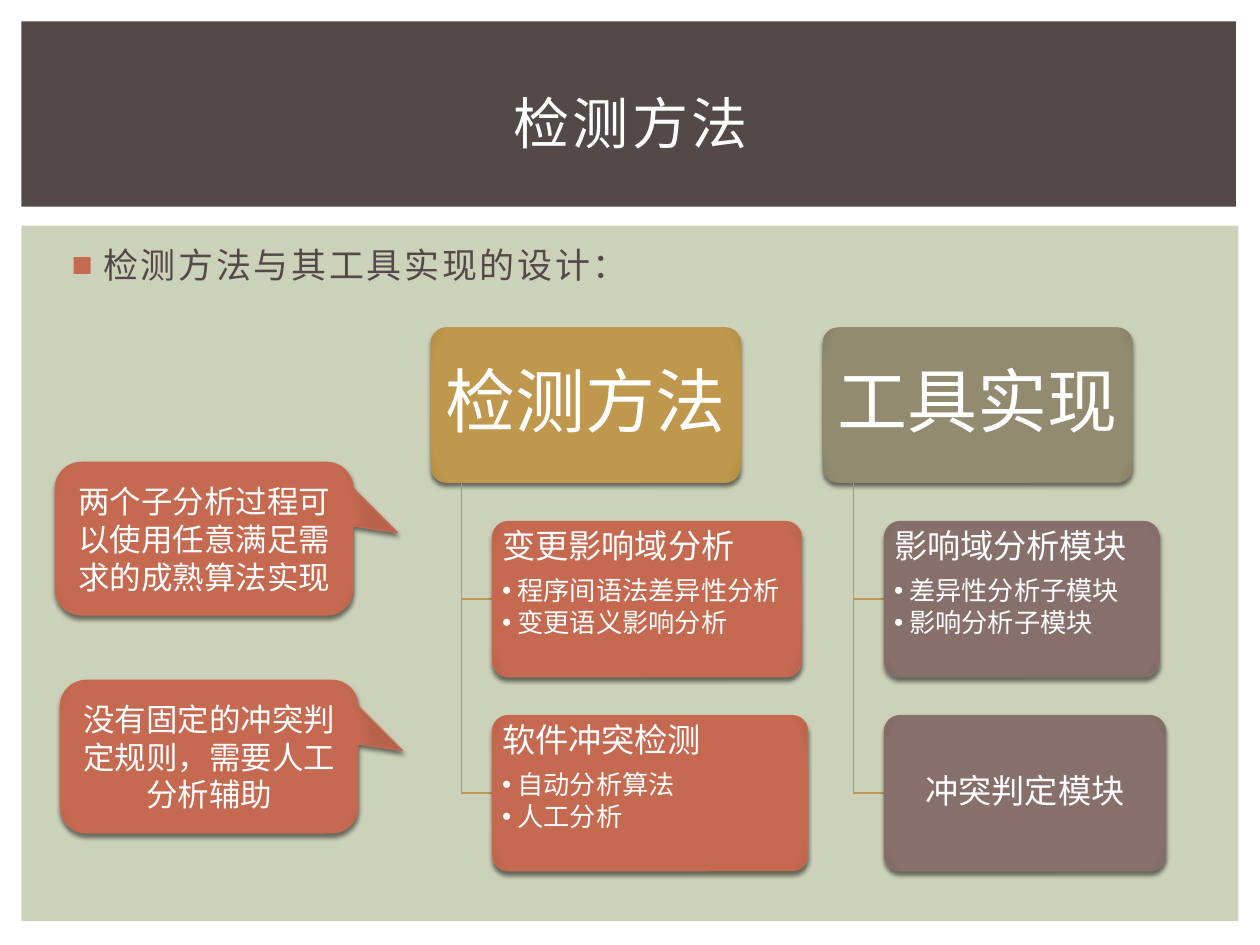
from lxml.etree import SubElement
from pptx import Presentation
from pptx.dml.color import RGBColor
from pptx.enum.shapes import MSO_SHAPE
from pptx.enum.text import MSO_ANCHOR, PP_ALIGN
from pptx.oxml import parse_xml
from pptx.oxml.ns import nsdecls, qn
from pptx.util import Inches, Pt

# Content
TITLE = "检测方法"
LEAD = "检测方法与其工具实现的设计："
TREES = [
    {"head": "检测方法", "hue": "gold", "kid": "red", "kids": [
        (2.45, "变更影响域分析", ["程序间语法差异性分析", "变更语义影响分析"]),
        (2.5, "软件冲突检测", ["自动分析算法", "人工分析"])]},
    {"head": "工具实现", "hue": "olive", "kid": "mauve", "kids": [
        (2.18, "影响域分析模块", ["差异性分析子模块", "影响分析子模块"]),
        (2.23, "冲突判定模块", [])]},
]
NOTES = [
    (0.44, 3.67, "两个子分析过程可以使用任意满足需求的成熟算法实现"),
    (0.48, 5.4, "没有固定的冲突判定规则，需要人工分析辅助"),
]

# Look
FONT = "Lato"
HEX = {"white": "FFFFFF", "dark": "534949", "sage": "CCD1B9", "gold": "BF974D",
       "red": "C66951", "olive": "928B70", "mauve": "87706B"}
EDGE = {"gold": "B28D48", "red": "B8624B", "olive": "888268", "mauve": "7E6864"}

# Grid in inches
LEFT, TOP = 3.42, 2.6
COL, ROW = 3.11, 1.54
WIDE, HIGH = 2.46, 1.23
STEP = 0.49

deck = Presentation()
deck.slide_width, deck.slide_height = Inches(10), Inches(7.5)
slide = deck.slides.add_slide(deck.slide_layouts[6])
shapes = slide.shapes


def color(name):
    return RGBColor.from_string(HEX[name])


def place(*box):
    return [Inches(n) for n in box]


def write(para, text, size, hue="white", gap=0):
    run = para.add_run()
    run.text = text
    run.font.size, run.font.name = Pt(size), FONT
    run.font.color.rgb = color(hue)
    if gap:
        run._r.get_or_add_rPr().set("spc", str(gap))


def bullet(para, mark, indent, hang, hue=None, size=100):
    props = para._p.get_or_add_pPr()
    props.set("marL", str(Inches(indent)))
    props.set("indent", str(-Inches(hang)))
    if hue:
        tint = SubElement(props, qn("a:buClr"))
        SubElement(tint, qn("a:srgbClr")).set("val", HEX[hue])
    SubElement(props, qn("a:buSzPct")).set("val", str(size * 1000))
    SubElement(props, qn("a:buFont")).set("typeface", "Arial")
    SubElement(props, qn("a:buChar")).set("char", mark)


def frame(shape, anchor, pad=(0.1, 0.05)):
    body = shape.text_frame
    body.word_wrap, body.vertical_anchor = True, anchor
    body.margin_left = body.margin_right = Inches(pad[0])
    body.margin_top = body.margin_bottom = Inches(pad[1])
    return body


def band(hue, *box):
    shape = shapes.add_shape(MSO_SHAPE.RECTANGLE, *place(*box))
    shape.shadow.inherit = False
    shape.fill.solid()
    shape.fill.fore_color.rgb = color(hue)
    shape.line.fill.background()


def card(kind, hue, box, adjust, lined=True):
    shape = shapes.add_shape(kind, *place(*box))
    for i, n in enumerate(adjust):
        shape.adjustments[i] = n
    shape.fill.solid()
    if lined:
        shape.line.color.rgb, shape.line.width = color(hue), Pt(0.79)
    else:
        shape.line.fill.background()
    # Shaded rim
    props = shape._element.spPr
    stops = "".join(f'<a:gs pos="{at}000"><a:srgbClr val="{tone}"/></a:gs>' for at, tone in
                    [(0, HEX[hue]), (90, HEX[hue]), (100, EDGE[hue])])
    props.replace(props.find(qn("a:solidFill")), parse_xml(
        f'<a:gradFill {nsdecls("a")} rotWithShape="1"><a:gsLst>{stops}</a:gsLst>'
        '<a:path path="circle"><a:fillToRect l="100000" t="100000" r="100000" b="100000"/>'
        '</a:path></a:gradFill>'))
    # Soft shadow below
    shape.shadow.inherit = False
    props.find(qn("a:effectLst")).append(parse_xml(
        f'<a:outerShdw {nsdecls("a")} blurRad="{Pt(2.5)}" dist="{Pt(2)}" dir="5400000" '
        'algn="ctr" rotWithShape="0"><a:srgbClr val="000000"><a:alpha val="50000"/>'
        '</a:srgbClr></a:outerShdw>'))
    return shape


def tight(para, align, after):
    para.alignment, para.line_spacing, para.space_after = align, 0.9, Pt(after)


def elbow(x, top, low, end):
    pen = shapes.build_freeform(Inches(x), Inches(top))
    pen.add_line_segments([place(x, low), place(end, low)], close=False)
    shape = pen.convert_to_shape()
    shape.shadow.inherit = False
    shape.fill.background()
    shape.line.color.rgb, shape.line.width = color("gold"), Pt(0.79)


# Bands, lead line and title
band("sage", 0.17, 1.79, 9.66, 5.52)
band("dark", 0.17, 0.17, 9.64, 1.47)

lead = frame(shapes.add_textbox(*place(0.42, 1.88, 9.19, 0.6)), MSO_ANCHOR.TOP).paragraphs[0]
lead.space_before = Pt(4)
bullet(lead, "■", 0.3, 0.25, "red")
write(lead, LEAD, 20, "dark", 150)

title = frame(shapes.add_textbox(*place(0.42, 0.39, 9.17, 1.15)), MSO_ANCHOR.MIDDLE).paragraphs[0]
title.alignment = PP_ALIGN.CENTER
write(title, TITLE, 32, gap=200)

# Trees: a head with kids hung below it
for c, tree in enumerate(TREES):
    x = LEFT + c * COL
    head = card(MSO_SHAPE.ROUNDED_RECTANGLE, tree["hue"], (x, TOP, WIDE, HIGH), [0.1], False)
    para = frame(head, MSO_ANCHOR.MIDDLE, (0.08, 0.06)).paragraphs[0]
    tight(para, PP_ALIGN.CENTER, 14)
    write(para, tree["head"], 40)
    for r, (wide, name, items) in enumerate(tree["kids"], 1):
        y = TOP + r * ROW
        elbow(x + STEP / 2, TOP + HIGH, y + HIGH / 2, x + STEP)
        kid = card(MSO_SHAPE.ROUNDED_RECTANGLE, tree["kid"], (x + STEP, y, wide, HIGH), [0.1])
        body = frame(kid, MSO_ANCHOR.TOP if items else MSO_ANCHOR.MIDDLE, (0.04, 0.03))
        tight(body.paragraphs[0], PP_ALIGN.LEFT if items else PP_ALIGN.CENTER, 6.65)
        write(body.paragraphs[0], name, 19)
        for item in items:
            para = body.add_paragraph()
            tight(para, PP_ALIGN.LEFT, 2.25)
            bullet(para, "•", 0.12, 0.12)
            write(para, item, 15)

# Callouts
for x, y, text in NOTES:
    note = card(MSO_SHAPE.ROUNDED_RECTANGULAR_CALLOUT, "red", (x, y, 2.36, 1.21),
                [0.65, -0.04, 0.17])
    para = frame(note, MSO_ANCHOR.MIDDLE).paragraphs[0]
    para.alignment = PP_ALIGN.CENTER
    write(para, text, 18)

deck.save("out.pptx")
